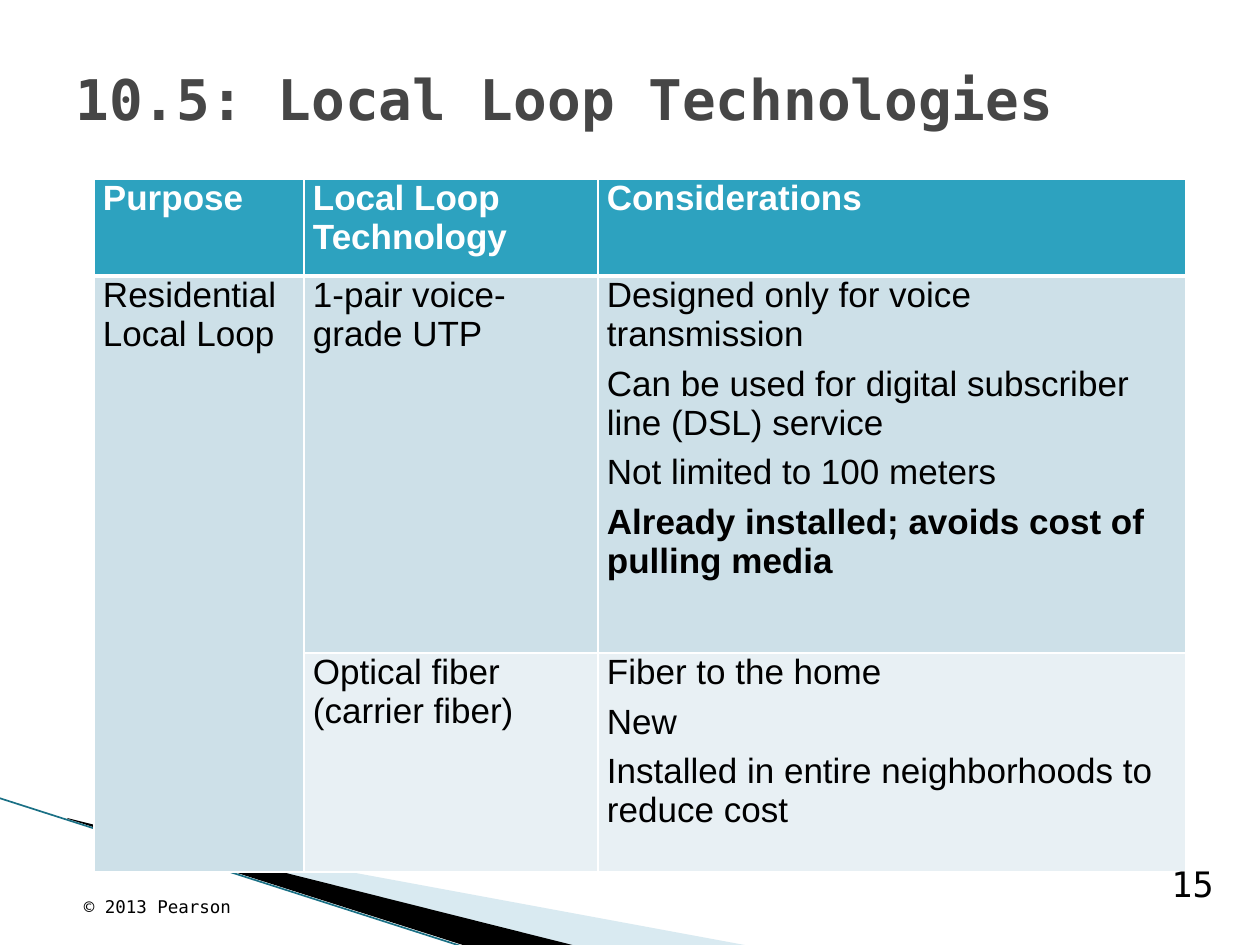
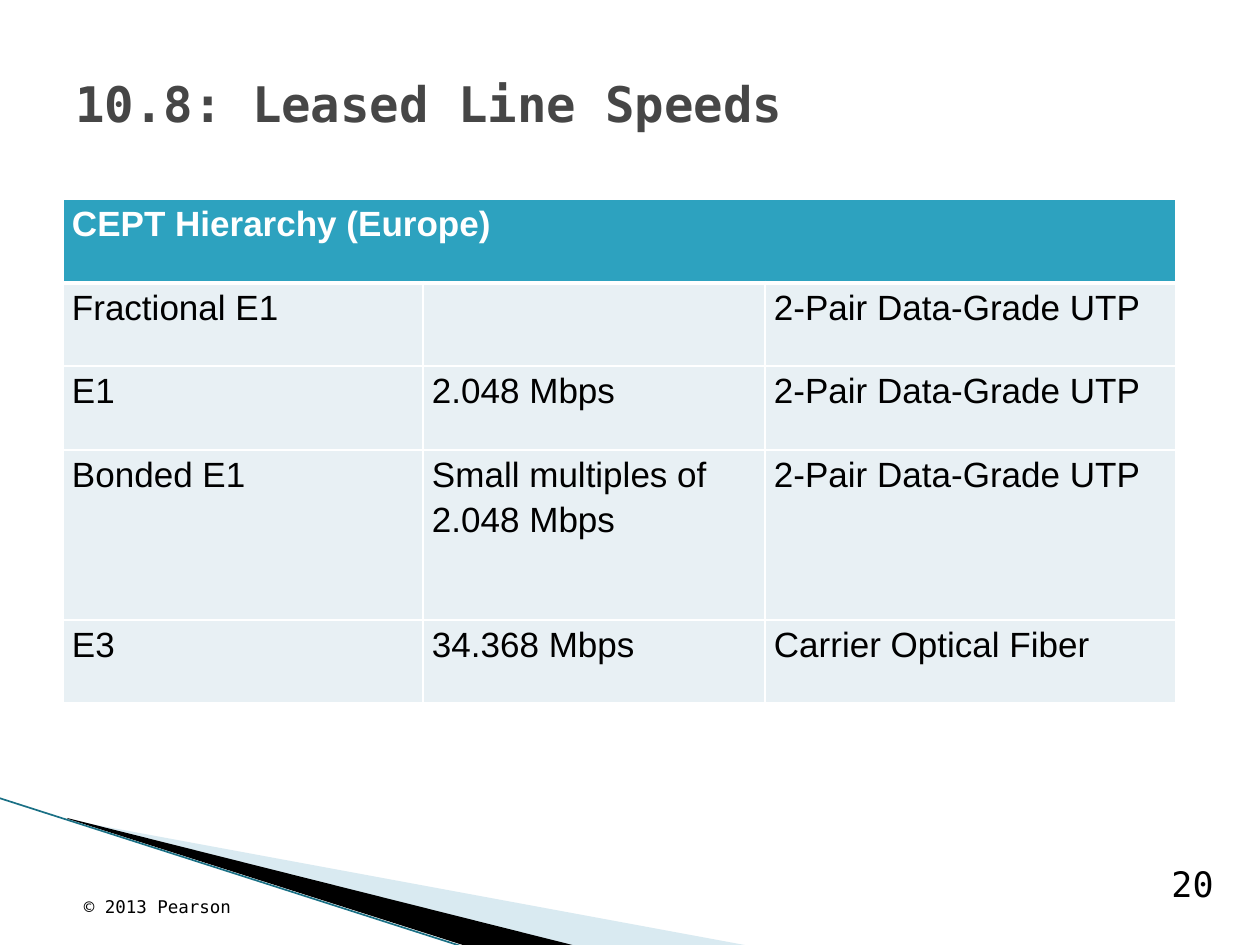
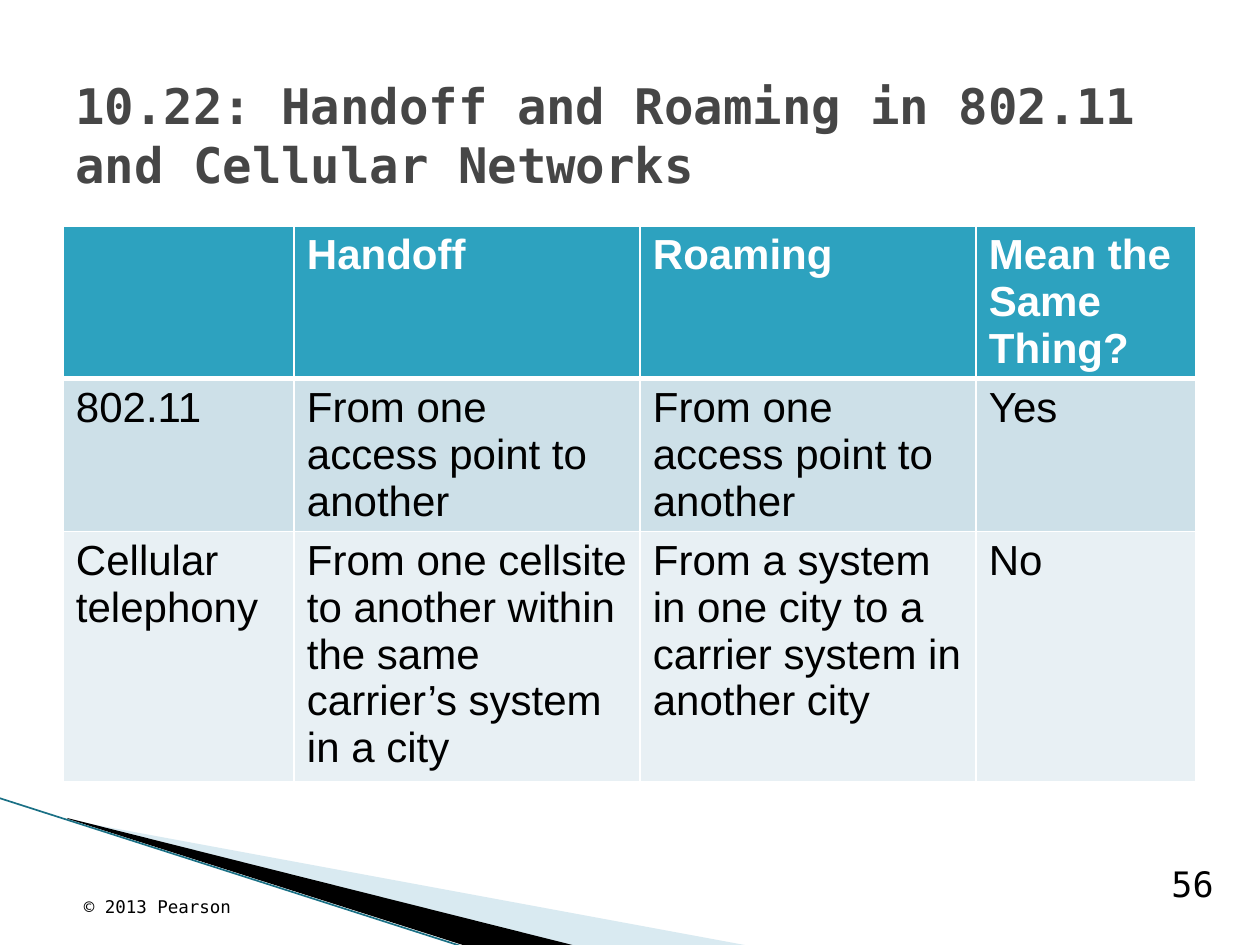
"""Build three slides of networking tables with a shared title, swoosh and footer."""
from lxml.etree import SubElement
from pptx import Presentation
from pptx.dml.color import RGBColor
from pptx.enum.shapes import MSO_CONNECTOR
from pptx.enum.text import MSO_ANCHOR, PP_ALIGN
from pptx.oxml.ns import qn
from pptx.util import Inches, Pt

EMU_PER_PX = Inches(1) / 126
WHITE = RGBColor(0xFF, 0xFF, 0xFF)
BLACK = RGBColor(0x00, 0x00, 0x00)
TITLE_GRAY = RGBColor(0x46, 0x46, 0x46)
TEAL = RGBColor(0x2D, 0xA2, 0xBF)
DARK_TEAL = RGBColor(0x1A, 0x70, 0x85)
PALE_BLUE = RGBColor(0xA0, 0xCB, 0xDC)
BAND = RGBColor(0xCD, 0xE0, 0xE8)
LIGHT_BAND = RGBColor(0xE8, 0xF0, 0xF4)
MONO, SANS = "DejaVu Sans Mono", "Arial"

COPYRIGHT = "© 2013 Pearson"
COPYRIGHT_BOX = (63, 883, 189, 40)
NUMBER_BOX = (1144, 861, 82, 50)
SWOOSHES = [
    (PALE_BLUE, 40, [(69, 820), (750, 946), (575, 946), (69, 819)]),
    (BLACK, 100, [(67, 818), (576, 946), (469, 947), (68, 819)]),
]
SWOOSH_EDGE = (-1, 798, 467, 948)

TIGHT, ROOMY = (9, 0), (13, 6)
EMPHASIZED = {"Already installed; avoids cost of pulling media"}

SLIDES = [
    {
        "title": "10.5: Local Loop Technologies",
        "title_box": (63, 38, 1134, 120), "title_size": 32, "number": "15",
        "origin": (94, 179), "columns": [210, 294, 588], "heights": [97, 377, 219],
        "bands": [BAND, LIGHT_BAND], "merge": ((1, 0), (2, 0)),
        "size": 20, "padding": TIGHT, "spacing": 1.0, "gap": 3,
        "rows": [
            ["Purpose", "Local Loop Technology", "Considerations"],
            ["Residential Local Loop", "1-pair voice-grade UTP",
             "Designed only for voice transmission\n"
             "Can be used for digital subscriber line (DSL) service\n"
             "Not limited to 100 meters\n"
             "Already installed; avoids cost of pulling media"],
            ["", "Optical fiber (carrier fiber)",
             "Fiber to the home\nNew\n"
             "Installed in entire neighborhoods to reduce cost"],
        ],
    },
    {
        "title": "10.8: Leased Line Speeds",
        "title_box": (63, 38, 1134, 130), "title_size": 28, "number": "20",
        "origin": (63, 199), "columns": [360, 342, 411],
        "heights": [84, 83, 84, 170, 83],
        "bands": [LIGHT_BAND], "merge": ((0, 0), (0, 2)),
        "size": 20, "padding": TIGHT, "spacing": 1.15, "gap": 3,
        "rows": [
            ["CEPT Hierarchy (Europe)", "", ""],
            ["Fractional E1", "", "2-Pair Data-Grade UTP"],
            ["E1", "2.048 Mbps", "2-Pair Data-Grade UTP"],
            ["Bonded E1", "Small multiples of 2.048 Mbps", "2-Pair Data-Grade UTP"],
            ["E3", "34.368 Mbps", "Carrier Optical Fiber"],
        ],
    },
    {
        "title": "10.22: Handoff and Roaming in 802.11 and Cellular Networks",
        "title_box": (63, 69, 1134, 130), "title_size": 28, "number": "56",
        "origin": (63, 226), "columns": [231, 346, 336, 220],
        "heights": [152, 153, 250],
        "bands": [BAND, LIGHT_BAND], "merge": None,
        "size": 24, "padding": ROOMY, "spacing": 1.0, "gap": 0,
        "rows": [
            ["", "Handoff", "Roaming", "Mean the Same Thing?"],
            ["802.11", "From one access point to another",
             "From one access point to another", "Yes"],
            ["Cellular telephony",
             "From one cellsite to another within the same carrier’s system in a city",
             "From a system in one city to a carrier system in another city", "No"],
        ],
    },
]


def px(*lengths):
    return [round(length * EMU_PER_PX) for length in lengths]


def style_runs(paragraph, font, size, color, bold=False):
    for run in paragraph.runs:
        run.font.name, run.font.size = font, Pt(size)
        run.font.color.rgb, run.font.bold = color, bold


def add_label(slide, box, text, size, color=BLACK, bold=False,
              align=PP_ALIGN.LEFT, anchor=MSO_ANCHOR.BOTTOM):
    frame = slide.shapes.add_textbox(*px(*box)).text_frame
    frame.word_wrap = True
    frame.vertical_anchor = anchor
    frame.text = text
    frame.paragraphs[0].alignment = align
    style_runs(frame.paragraphs[0], MONO, size, color, bold)


def add_swoosh(slide):
    for color, opacity, (start, *corners) in SWOOSHES:
        builder = slide.shapes.build_freeform(*start, scale=EMU_PER_PX)
        builder.add_line_segments(corners)
        blade = builder.convert_to_shape()
        blade.shadow.inherit = False
        blade.line.fill.background()
        blade.fill.solid()
        blade.fill.fore_color.rgb = color
        if opacity < 100:
            tint = blade.fill._xPr.find(".//" + qn("a:srgbClr"))
            SubElement(tint, qn("a:alpha"), val=str(opacity * 1000))
    edge = slide.shapes.add_connector(MSO_CONNECTOR.STRAIGHT, *px(*SWOOSH_EDGE))
    edge.line.color.rgb, edge.line.width = DARK_TEAL, Pt(0.95)
    SubElement(edge._element.spPr, qn("a:effectLst"))


def add_borders(cell, row):
    widths = {"lnL": 1, "lnR": 1, "lnT": 3 if row == 1 else 1, "lnB": 1 if row else 3}
    properties = cell._tc.get_or_add_tcPr()
    for side, width in widths.items():
        border = SubElement(properties, qn("a:" + side), w=str(Pt(width)))
        fill = SubElement(border, qn("a:solidFill"))
        SubElement(fill, qn("a:srgbClr"), val=str(WHITE))


def fill_cell(cell, text, row, content):
    add_borders(cell, row)
    bands = content["bands"]
    cell.fill.solid()
    cell.fill.fore_color.rgb = bands[(row - 1) % len(bands)] if row else TEAL
    across, down = px(*content["padding"])
    cell.margin_left = cell.margin_right = across
    cell.margin_top = cell.margin_bottom = down
    cell.text_frame.text = text
    for index, paragraph in enumerate(cell.text_frame.paragraphs):
        paragraph.line_spacing = content["spacing"]
        paragraph.space_before = Pt(content["gap"] if index else 0)
        paragraph.space_after = Pt(content["gap"])
        style_runs(paragraph, SANS, content["size"], BLACK if row else WHITE,
                   row == 0 or paragraph.text in EMPHASIZED)


def add_grid(slide, content):
    rows, columns, heights = content["rows"], content["columns"], content["heights"]
    box = px(*content["origin"], sum(columns), sum(heights))
    table = slide.shapes.add_table(len(rows), len(columns), *box).table
    table.horz_banding = False
    for column, width in zip(table.columns, px(*columns)):
        column.width = width
    for line, height in zip(table.rows, px(*heights)):
        line.height = height
    for row, texts in enumerate(rows):
        for column, text in enumerate(texts):
            fill_cell(table.cell(row, column), text, row, content)
    if content["merge"]:
        first, last = content["merge"]
        table.cell(*first).merge(table.cell(*last))


def main():
    deck = Presentation()
    deck.slide_width, deck.slide_height = px(1260, 945)
    for content in SLIDES:
        slide = deck.slides.add_slide(deck.slide_layouts[6])
        add_swoosh(slide)
        add_grid(slide, content)
        add_label(slide, content["title_box"], content["title"], content["title_size"],
                  TITLE_GRAY, bold=True, anchor=MSO_ANCHOR.MIDDLE)
        add_label(slide, NUMBER_BOX, content["number"], 20, align=PP_ALIGN.RIGHT)
        add_label(slide, COPYRIGHT_BOX, COPYRIGHT, 10, align=PP_ALIGN.CENTER)
    deck.save("out.pptx")


if __name__ == "__main__":
    main()
